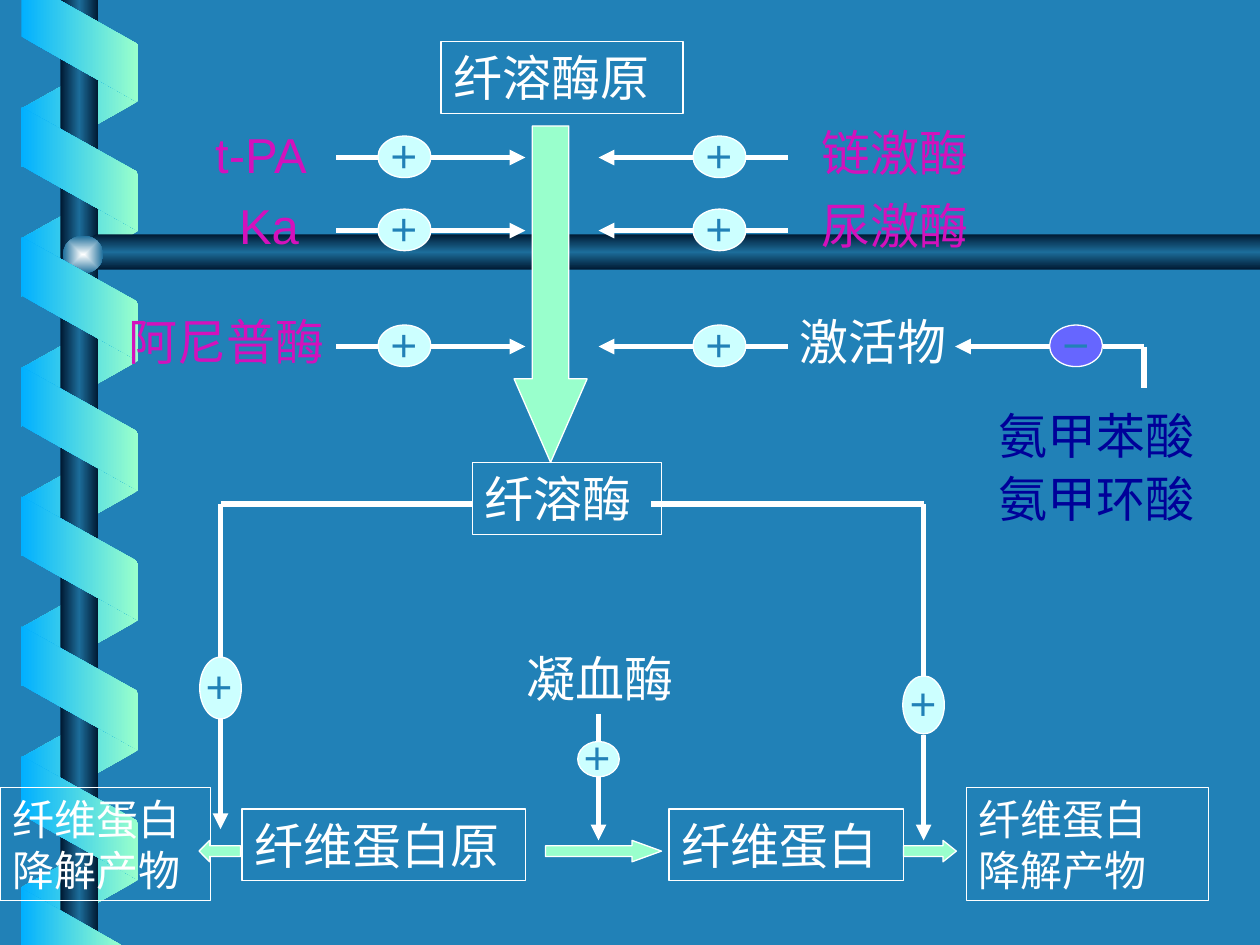
from lxml import etree
from pptx import Presentation
from pptx import util as u
from pptx.dml.color import RGBColor
from pptx.enum import shapes, text
from pptx.oxml import ns

THEME = {
    "font": "Arial", "large": 28, "medium": 24, "small": 18,
    "thin": 0.75, "thick": 3,
    "back": "2181B7", "white": "FFFFFF", "pink": "D311BC", "navy": "000099",
    "mint": "99FFCC", "sky": "01B0FF", "ice": "CCFFFF", "violet": "6666FF",
    "dark": "001932", "steel": "1C6D9A", "glow": "FEFFFF",
}
KIND = shapes.MSO_SHAPE

FRAMES = [
    (["纤溶酶原"], (3.5, 0.33, 1.92, 0.57), "large"),
    (["纤溶酶"], (3.75, 3.67, 1.5, 0.57), "large"),
    (["纤维蛋白", "降解产物"], (0, 6.25, 1.67, 0.9), "medium"),
    (["纤维蛋白原"], (1.92, 6.42, 2.25, 0.57), "large"),
    (["纤维蛋白"], (5.31, 6.42, 1.86, 0.57), "large"),
    (["纤维蛋白", "降解产物"], (7.67, 6.25, 1.92, 0.9), "medium"),
]
LABELS = [
    ("凝血酶", (4.08, 5.1, 1.58), "white"),
    ("链激酶", (6.42, 0.92, 1.58), "pink"),
    ("尿激酶", (6.42, 1.5, 1.58), "pink"),
    ("阿尼普酶", (0.92, 2.42, 1.92), "pink"),
    ("氨甲苯酸", (7.83, 3.17, 2.09), "navy"),
    ("氨甲环酸", (7.83, 3.67, 2.01), "navy"),
    ("t-PA", (1.61, 0.94, 0.95), "pink"),
    ("Ka", (1.8, 1.5, 0.87), "pink"),
    ("激活物", (6.25, 2.42, 1.5), "white"),
]
BLOCK_ARROWS = [
    (KIND.DOWN_ARROW, (4.08, 1, 0.58, 2.67), 1.143),
    (KIND.RIGHT_ARROW, (4.33, 6.67, 0.92, 0.17), 1.373),
    (KIND.RIGHT_ARROW, (7.17, 6.67, 0.42, 0.17), 0.624),
    (KIND.LEFT_ARROW, (1.58, 6.67, 0.33, 0.17), 0.499),
]
ROW_LEVELS = [1.25, 1.83, 2.75]
DOWNWARD = [
    (1.75, 4.83, 5.22, 5.71, 6.58),
    (7.33, 5, 5.37, 5.83, 6.67),
    (4.75, 5.67, 5.89, 6.17, 6.67),
]
PLAIN_LINES = [
    ((5.17, 4), (7.33, 4)), ((7.33, 4), (7.33, 5.17)),
    ((1.75, 4), (3.75, 4)), ((1.75, 4), (1.75, 4.92)),
    ((9.08, 2.75), (9.08, 3.08)),
]
RIBBON_PITCH = 1.03
RIBBON_TOP = [(0.17, 0), (0.17, 0.29), (1.09, 0.81), (1.09, 0.35), (0.47, 0)]
RIBBON_END = [(0.96, 7.5), (0.17, 7.05), (0.17, 7.5)]
CROSSBAR = [(10, 1.86), (0.76, 1.86), (0.6, 2), (0.76, 2.14), (10, 2.14)]


def color(name):
    return RGBColor.from_string(THEME[name])


def style(shape, fill=None, line=None):
    shape.shadow.inherit = False
    if fill:
        shape.fill.solid()
        shape.fill.fore_color.rgb = color(fill)
    else:
        shape.fill.background()
    if line:
        shape.line.color.rgb = color(line)
        shape.line.width = u.Pt(THEME["thin"])
    else:
        shape.line.fill.background()
    return shape


def add_preset(page, kind, at, fill=None, line=None):
    return style(page.shapes.add_shape(kind, *map(u.Inches, at)), fill, line)


def add_outline(page, points):
    builder = page.shapes.build_freeform(*map(u.Inches, points[0]))
    builder.add_line_segments([tuple(map(u.Inches, point)) for point in points[1:]])
    return style(builder.convert_to_shape())


def shade(shape, names, angle=0, radial=False):
    props = shape.element.spPr
    old = props.find(ns.qn("a:noFill"))
    fill = etree.Element(ns.qn("a:gradFill"), rotWithShape="0")
    stops = etree.SubElement(fill, ns.qn("a:gsLst"))
    for index, name in enumerate(names):
        position = index * 100000 // (len(names) - 1)
        stop = etree.SubElement(stops, ns.qn("a:gs"), pos=str(position))
        etree.SubElement(stop, ns.qn("a:srgbClr"), val=THEME[name])
    if radial:
        focus = etree.SubElement(fill, ns.qn("a:path"), path="rect")
        etree.SubElement(focus, ns.qn("a:fillToRect"), l="50000", t="50000", r="50000", b="50000")
    else:
        etree.SubElement(fill, ns.qn("a:lin"), ang=str(angle * 60000), scaled="1")
    props.replace(old, fill)


def write(shape, lines, size, name, centered=False, wrap=True):
    frame = shape.text_frame
    frame.word_wrap = wrap
    frame.vertical_anchor = text.MSO_ANCHOR.MIDDLE if centered else text.MSO_ANCHOR.TOP
    if not centered:
        frame.auto_size = text.MSO_AUTO_SIZE.SHAPE_TO_FIT_TEXT
    for index, line in enumerate(lines):
        para = frame.add_paragraph() if index else frame.paragraphs[0]
        para.alignment = text.PP_ALIGN.CENTER if centered else text.PP_ALIGN.LEFT
        span = para.add_run()
        span.text = line
        span.font.name = THEME["font"]
        span.font.size = u.Pt(THEME[size])
        span.font.bold = centered
        span.font.color.rgb = color(name)


def add_line(page, start, end, arrow=False, width="thick"):
    line = page.shapes.add_connector(shapes.MSO_CONNECTOR.STRAIGHT, *map(u.Inches, start + end))
    line.line.color.rgb = color("white")
    line.line.width = u.Pt(THEME[width])
    if arrow:
        etree.SubElement(line.line._get_or_add_ln(), ns.qn("a:tailEnd"), type="triangle")
    etree.SubElement(line.element.spPr, ns.qn("a:effectLst"))


def add_badge(page, at, sign="＋", fill="ice", turn=0):
    badge = add_preset(page, KIND.OVAL, at, fill, "white")
    badge.rotation = turn
    write(badge, [sign], "small", "back", centered=True, wrap=False)


def add_row(page, y, left, direction, sign="＋", fill="ice"):
    near, far = (left, left + 0.42) if direction < 0 else (left + 0.42, left)
    add_line(page, (near, y), (near + direction * 0.75, y), arrow=True)
    add_badge(page, (left, y - 0.17, 0.42, 0.33), sign, fill)
    add_line(page, (far, y), (far - direction * 0.33, y))


def add_ribbon(page, count, top, height, turn, names, flip):
    for index in range(count):
        at = (0.14, top + index * RIBBON_PITCH, 0.98, height)
        band = add_preset(page, KIND.PARALLELOGRAM, at)
        band.adjustments[0] = 0.56
        band.rotation = turn
        if flip:
            band.element.spPr.find(ns.qn("a:xfrm")).set("flipH", "1")
        shade(band, names)


def add_decoration(page):
    bar = ["dark", "steel", "dark"]
    add_ribbon(page, 7, 0.37, 0.93, 90, ["mint", "sky"], True)
    shade(add_preset(page, KIND.RECTANGLE, (0.48, 0, 0.3, 7.5)), bar)
    shade(add_outline(page, CROSSBAR), bar, 90)
    shade(add_preset(page, KIND.OVAL, (0.5, 1.87, 0.32, 0.3)), ["glow", "steel"], radial=True)
    add_ribbon(page, 6, 0.88, 0.92, 270, ["sky", "mint"], False)
    for points in (RIBBON_TOP, RIBBON_END):
        shade(add_outline(page, points), ["sky", "mint"])


def add_diagram(page):
    for lines, at, size in FRAMES:
        write(add_preset(page, KIND.RECTANGLE, at, line="white"), lines, size, "white")
    add_line(page, (5.08, 1), (5.08, 1), arrow=True, width="thin")
    for kind, at, head in BLOCK_ARROWS:
        arrow = add_preset(page, kind, at, "mint", "white")
        arrow.adjustments[0] = 0.5
        arrow.adjustments[1] = head
    for y in ROW_LEVELS:
        add_row(page, y, 5.5, -1)
        add_row(page, y, 3, 1)
    add_row(page, ROW_LEVELS[-1], 8.33, -1, "－", "violet")
    for x, start, top, bottom, end in DOWNWARD:
        add_line(page, (x, bottom), (x, end), arrow=True)
        length = bottom - top
        middle = (top + bottom) / 2
        add_badge(page, (x - length / 2, middle - 0.17, length, 0.33), turn=90)
        add_line(page, (x, top), (x, start))
    for start, end in PLAIN_LINES:
        add_line(page, start, end)
    for label, at, name in LABELS:
        box = page.shapes.add_textbox(*map(u.Inches, at + (0.57,)))
        write(box, [label], "large", name, wrap=label != "t-PA")


def main():
    deck = Presentation()
    deck.slide_width, deck.slide_height = u.Inches(10), u.Inches(7.5)
    page = deck.slides.add_slide(deck.slide_layouts[6])
    page.background.fill.solid()
    page.background.fill.fore_color.rgb = color("back")
    add_decoration(page)
    add_diagram(page)
    deck.save("out.pptx")


if __name__ == "__main__":
    main()
